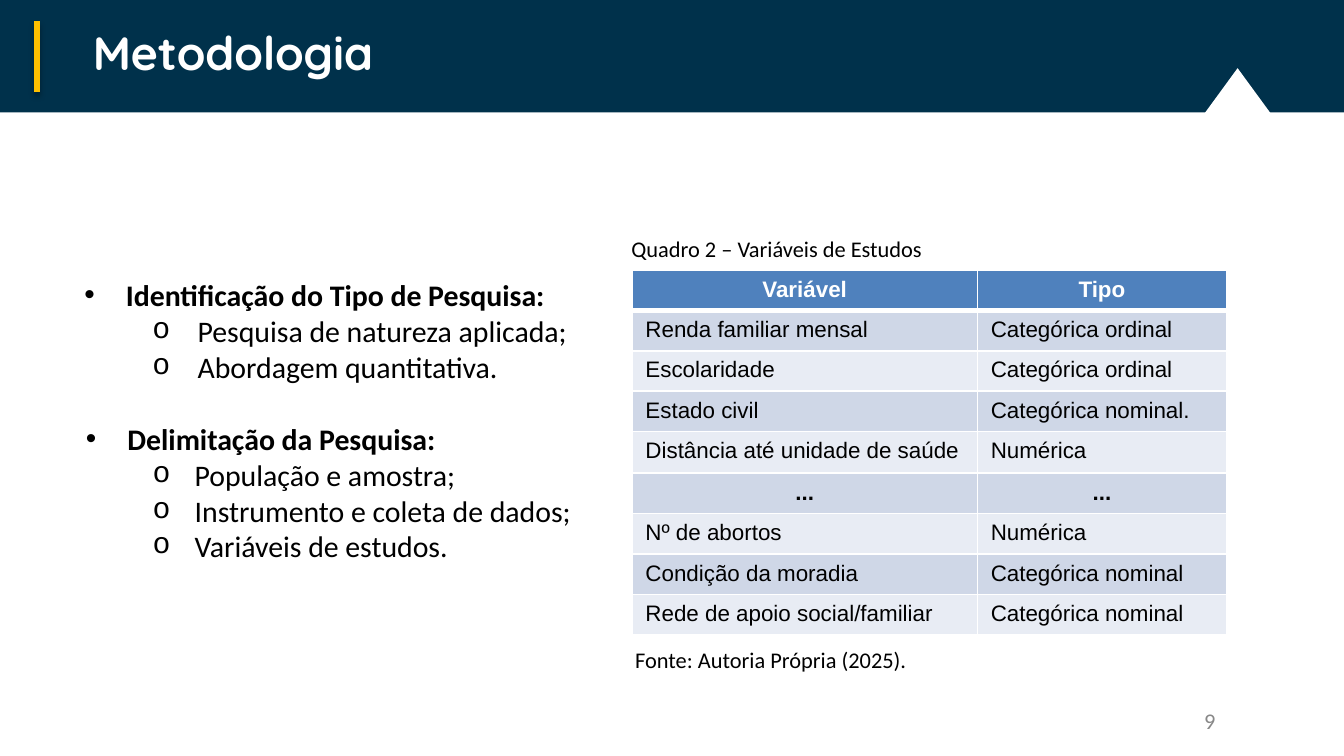
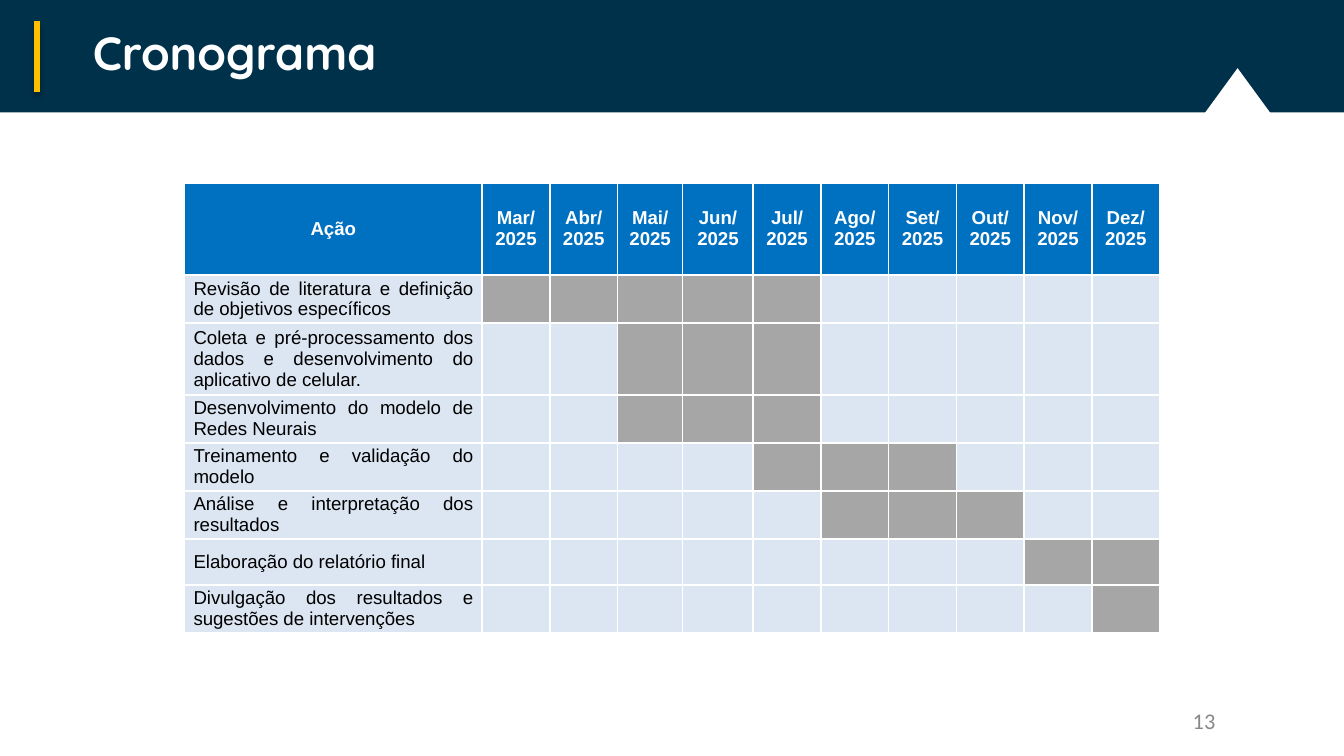
import pptx
import pptx.dml.color
import pptx.enum.shapes
import pptx.enum.text
import pptx.oxml
import pptx.util
from lxml import etree

Pt = pptx.util.Pt
SHAPE = pptx.enum.shapes.MSO_SHAPE
ALIGN = pptx.enum.text.PP_ALIGN
ANCHOR = pptx.enum.text.MSO_ANCHOR
RGB = pptx.dml.color.RGBColor.from_string
NAMESPACE = 'xmlns:a="http://schemas.openxmlformats.org/drawingml/2006/main"'

COLORS = {
    "band": "00314B", "accent": "FFC000", "white": "FFFFFF", "black": "000000",
    "number": "888888", "variable_header": "4F81BD", "row_dark": "CFD7E7",
    "row_light": "E8ECF4", "schedule_header": "0070C0", "idle": "DCE6F2",
    "active": "A6A6A6",
}


def format_text(frame, size, color="black", font="Calibri", bold=False,
                align=ALIGN.LEFT, anchor=ANCHOR.TOP, inset=(7.2, 3.6)):
    """Format all runs of a text box, placeholder or cell; inset is (sides, top and bottom)."""
    frame.word_wrap = True
    frame.vertical_anchor = anchor
    frame.margin_left = frame.margin_right = Pt(inset[0])
    frame.margin_top = frame.margin_bottom = Pt(inset[1])
    for para in frame.paragraphs:
        para.alignment = align
        for span in para.runs:
            span.font.size = Pt(size)
            span.font.name = font
            span.font.bold = bold
            span.font.color.rgb = RGB(COLORS[color])


def format_cell(cell, fill, bottom=1):
    """Give a cell white borders and a fill; bottom is the width of its lower border."""
    properties = cell._tc.get_or_add_tcPr()
    for side, width in (("L", 1), ("R", 1), ("T", 1), ("B", bottom)):
        properties.append(pptx.oxml.parse_xml(
            f'<a:ln{side} {NAMESPACE} w="{Pt(width)}"><a:solidFill>'
            f'<a:srgbClr val="{COLORS["white"]}"/></a:solidFill></a:ln{side}>'))
    cell.fill.solid()
    cell.fill.fore_color.rgb = RGB(COLORS[fill])


deck = pptx.Presentation()
deck.slide_width, deck.slide_height = Pt(720), Pt(405)

# Shared header and page number
slides = []
for title_text, page_number in (("Metodologia", "9"), ("Cronograma", "13")):
    slide = deck.slides.add_slide(deck.slide_layouts[5])
    slides.append(slide)
    for kind, color, place in (
            (SHAPE.RECTANGLE, "band", (0, 0, 720, 60.2)),
            (SHAPE.ISOSCELES_TRIANGLE, "white", (644, 36.5, 38, 26))):
        shape = slide.shapes.add_shape(kind, *map(Pt, place))
        shape.shadow.inherit = False
        shape.fill.solid()
        shape.fill.fore_color.rgb = RGB(COLORS[color])
        shape.line.fill.background()

    accent = slide.shapes.add_connector(
        pptx.enum.shapes.MSO_CONNECTOR.STRAIGHT, Pt(20), Pt(11.4), Pt(20), Pt(49.4))
    accent.line.color.rgb = RGB(COLORS["accent"])
    accent.line.width = Pt(3)
    accent._element.spPr.append(pptx.oxml.parse_xml(
        f'<a:effectLst {NAMESPACE}><a:outerShdw blurRad="{Pt(3.1)}" dist="{Pt(1.8)}" '
        f'dir="5400000" rotWithShape="0"><a:srgbClr val="{COLORS["black"]}">'
        '<a:alpha val="35000"/></a:srgbClr></a:outerShdw></a:effectLst>'))

    title = slide.shapes.title
    slide.shapes._spTree.append(title._element)  # in front of the band
    title.left, title.top, title.width, title.height = map(Pt, (42.5, 0, 677.5, 55.4))
    title.text_frame.text = title_text
    format_text(title.text_frame, 25, "white", "Quicksand", True, anchor=ANCHOR.MIDDLE)

    number = slide.shapes.add_textbox(Pt(624.2), Pt(375), Pt(34), Pt(21.6))
    number.text_frame.text = page_number
    format_text(number.text_frame, 12, "number", align=ALIGN.RIGHT, anchor=ANCHOR.MIDDLE)

methodology, schedule = slides

# Methodology: two-level list of (text, level, left margin, hanging indent)
topics = [
    ("Identificação do Tipo de Pesquisa:", 0, 33.8, 22.3),
    ("Pesquisa de natureza aplicada;", 1, 72.2, 24.2),
    ("Abordagem quantitativa.", 1, 72.2, 24.2),
    ("Delimitação da Pesquisa:", 0, 34.6, 22.3),
    ("População e amostra;", 1, 70.6, 22.5),
    ("Instrumento e coleta de dados;", 1, 70.6, 22.5),
    ("Variáveis de estudos.", 1, 70.6, 22.5),
]
box = methodology.shapes.add_textbox(Pt(26.6), Pt(144.7), Pt(300), Pt(195))
box.text_frame.text = "\n".join(topic[0] for topic in topics)
format_text(box.text_frame, 16)
for index, (para, topic) in enumerate(zip(box.text_frame.paragraphs, topics)):
    text, level, margin, hanging = topic
    para.level = level
    if level == 0:
        para.runs[0].font.bold = True
        if index:
            para.space_before = Pt(19.5)
    properties = para._p.get_or_add_pPr()
    properties.set("marL", str(Pt(margin)))
    properties.set("indent", str(-Pt(hanging)))
    bullet_font, bullet = (("Arial", "•"), ("Courier New", "o"))[level]
    for bullet_xml in (
            f'<a:buClr {NAMESPACE}><a:srgbClr val="{COLORS["black"]}"/></a:buClr>',
            f'<a:buFont {NAMESPACE} typeface="{bullet_font}"/>',
            f'<a:buChar {NAMESPACE} char="{bullet}"/>'):
        properties.append(etree.fromstring(bullet_xml))

# Methodology: table of variables
variables = [
    ("Variável", "Tipo"),
    ("Renda familiar mensal", "Categórica ordinal"),
    ("Escolaridade", "Categórica ordinal"),
    ("Estado civil", "Categórica nominal."),
    ("Distância até unidade de saúde", "Numérica"),
    ("...", "..."),
    ("Nº de abortos", "Numérica"),
    ("Condição da moradia", "Categórica nominal"),
    ("Rede de apoio social/familiar", "Categórica nominal"),
]
table = methodology.shapes.add_table(
    len(variables), 2, Pt(338.6), Pt(144.7), Pt(318.5), Pt(187)).table
table.columns[0].width, table.columns[1].width = Pt(185), Pt(133.5)
for row, values in enumerate(variables):
    table.rows[row].height = Pt(22.3 if row == 4 else 20.6)
    header = row == 0
    strong = header or values[0] == "..."
    fill = "variable_header" if header else ("row_light", "row_dark")[row % 2]
    for column, value in enumerate(values):
        cell = table.cell(row, column)
        cell.text_frame.text = value
        format_text(cell.text_frame, 12, "white" if header else "black", "Arial", strong,
                    ALIGN.CENTER if strong else ALIGN.LEFT)
        format_cell(cell, fill, 3 if header else 1)

for caption, left, top in (("Quadro 2 – Variáveis de Estudos", 331.2, 118.8),
                           ("Fonte: Autoria Própria (2025).", 333.2, 339)):
    box = methodology.shapes.add_textbox(Pt(left), Pt(top), Pt(319), Pt(28.8))
    box.text_frame.text = caption
    format_text(box.text_frame, 12, inset=(7.2, 7.2))

# Schedule: (action, first active month, last active month, row height)
months = ["Mar", "Abr", "Mai", "Jun", "Jul", "Ago", "Set", "Out", "Nov", "Dez"]
actions = [
    ("Revisão de literatura e definição de objetivos específicos", "Mar", "Jul", 25.7),
    ("Coleta e pré-processamento dos dados e desenvolvimento do aplicativo de celular.",
     "Mai", "Jul", 38.6),
    ("Desenvolvimento do modelo de Redes Neurais", "Mai", "Jul", 25.7),
    ("Treinamento e validação do modelo", "Jul", "Set", 25.7),
    ("Análise e interpretação dos resultados", "Ago", "Out", 25.7),
    ("Elaboração do relatório final", "Nov", "Dez", 24.7),
    ("Divulgação dos resultados e sugestões de intervenções", "Dez", "Dez", 25.7),
]
table = schedule.shapes.add_table(
    len(actions) + 1, len(months) + 1, Pt(98.8), Pt(98), Pt(523), Pt(241)).table
month_widths = {"Mai": 34.9, "Jun": 37.8}
for column, width in enumerate([159.5] + [month_widths.get(m, 36.3) for m in months]):
    table.columns[column].width = Pt(width)

table.rows[0].height = Pt(49.4)
for column, label in enumerate(["Ação"] + [f"{month}/\n2025" for month in months]):
    cell = table.cell(0, column)
    cell.text_frame.text = label
    format_text(cell.text_frame, 10, "white", "Arial", True, ALIGN.CENTER)
    format_cell(cell, "schedule_header")

for row, (action, first, last, height) in enumerate(actions, start=1):
    table.rows[row].height = Pt(height)
    table.cell(row, 0).text_frame.text = action
    format_text(table.cell(row, 0).text_frame, 10, font="Arial", align=ALIGN.JUSTIFY)
    format_cell(table.cell(row, 0), "idle")
    for column, month in enumerate(months):
        active = months.index(first) <= column <= months.index(last)
        format_cell(table.cell(row, column + 1), "active" if active else "idle")

for cell in table.iter_cells():
    cell.vertical_anchor = ANCHOR.MIDDLE
    cell.margin_left = cell.margin_right = Pt(4.9)
    cell.margin_top = cell.margin_bottom = 0

deck.save("out.pptx")
